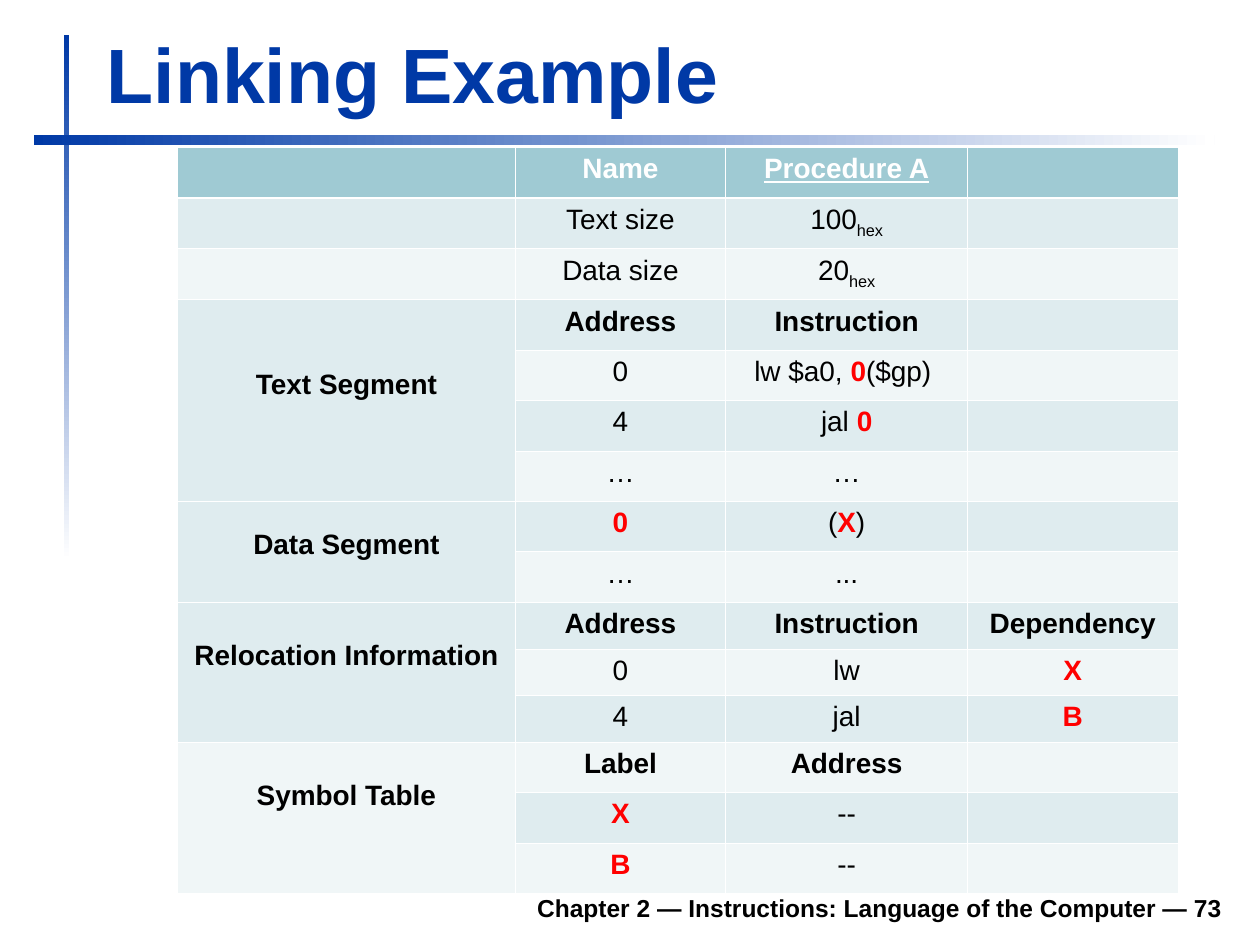
from dataclasses import dataclass

from lxml import etree
from pptx import Presentation
from pptx.dml.color import RGBColor
from pptx.enum.shapes import MSO_SHAPE
from pptx.enum.text import MSO_ANCHOR, PP_ALIGN
from pptx.oxml.ns import qn
from pptx.util import Inches, Pt


@dataclass(frozen=True)
class Theme:
    font: str = "Arial"
    blue: str = "0039A6"
    white: str = "FFFFFF"
    black: str = "000000"
    red: str = "FF0000"
    header: str = "9FCAD3"
    bands: tuple = ("F0F6F7", "DFECEF")
    title_size: int = 44
    table_size: int = 16
    footer_size: int = 14
    thin_border: float = 0.45
    thick_border: float = 1.47


THEME = Theme()

# Run formats used in the table
BODY = {"size": THEME.table_size, "color": THEME.black, "bold": False}
BOLD = BODY | {"bold": True}
RED = BOLD | {"color": THEME.red}
HEAD = BOLD | {"color": THEME.white}
UNDERLINED = HEAD | {"underline": True}
SUBSCRIPT = BODY | {"baseline": -25}

# Each cell is a list of (text, format) runs
EMPTY = []
DOTS = [("…", BODY)]
ADDRESS = [("Address", BOLD)]
INSTRUCTION = [("Instruction", BOLD)]

# Columns two to four; the first column holds the segment names
ROWS = [
    [[("Name", HEAD)], [("Procedure A", UNDERLINED)], EMPTY],
    [[("Text size", BODY)], [("100", BODY), ("hex", SUBSCRIPT)], EMPTY],
    [[("Data size", BODY)], [("20", BODY), ("hex", SUBSCRIPT)], EMPTY],
    [ADDRESS, INSTRUCTION, EMPTY],
    [[("0", BODY)], [("lw $a0, ", BODY), ("0", RED), ("($gp) ", BODY)], EMPTY],
    [[("4", BODY)], [("jal ", BODY), ("0", RED)], EMPTY],
    [DOTS, DOTS, EMPTY],
    [[("0", RED)], [("(", BODY), ("X", RED), (")", BODY)], EMPTY],
    [DOTS, [("...", BODY)], EMPTY],
    [ADDRESS, INSTRUCTION, [("Dependency", BOLD)]],
    [[("0", BODY)], [("lw", BODY)], [("X", RED)]],
    [[("4", BODY)], [("jal", BODY)], [("B", RED)]],
    [[("Label", BOLD)], ADDRESS, EMPTY],
    [[("X", RED)], [("--", BODY)], EMPTY],
    [[("B", RED)], [("--", BODY)], EMPTY],
]

# Segment name, first row, last row, top margin
SEGMENTS = [
    ("Text Segment", 3, 6, 0.55),
    ("Data Segment", 7, 8, 0.22),
    ("Relocation Information", 9, 11, 0.3),
    ("Symbol Table", 12, 14, 0.3),
]

COLUMN_WIDTHS = [2.68, 1.67, 1.92, 1.67]
ROW_HEIGHTS = [0.4] * 9 + [0.37] * 3 + [0.4] * 3


class SlideBuilder:
    def __init__(self, slide, theme):
        self.slide = slide
        self.theme = theme

    def add_runs(self, paragraph, runs):
        for text, style in runs:
            run = paragraph.add_run()
            run.text = text
            values = {"name": self.theme.font} | style
            values["size"] = Pt(values["size"])
            run.font.color.rgb = RGBColor.from_string(values.pop("color"))
            baseline = values.pop("baseline", None)
            for name, value in values.items():
                setattr(run.font, name, value)
            if baseline:
                run.font._element.set("baseline", str(baseline * 1000))

    def add_gradient_bar(self, left, top, width, height, angle):
        bar = self.slide.shapes.add_shape(
            MSO_SHAPE.RECTANGLE, Inches(left), Inches(top), Inches(width), Inches(height))
        bar.shadow.inherit = False
        bar.line.fill.background()
        bar.fill.gradient()
        bar.fill.gradient_angle = angle
        colors = (self.theme.blue, self.theme.white)
        for position, (stop, color) in enumerate(zip(bar.fill.gradient_stops, colors)):
            stop.position = position
            stop.color.rgb = RGBColor.from_string(color)

    def add_text(self, left, top, width, height, text, style, alignment):
        box = self.slide.shapes.add_textbox(
            Inches(left), Inches(top), Inches(width), Inches(height))
        frame = box.text_frame
        frame.word_wrap = True
        frame.vertical_anchor = MSO_ANCHOR.BOTTOM
        frame.paragraphs[0].alignment = alignment
        self.add_runs(frame.paragraphs[0], [(text, style)])

    def add_borders(self, cell, widths):
        properties = cell._tc.get_or_add_tcPr()
        for index, (side, width) in enumerate(widths.items()):
            line = etree.Element(qn(f"a:ln{side}"), w=str(Pt(width)))
            fill = etree.SubElement(line, qn("a:solidFill"))
            etree.SubElement(fill, qn("a:srgbClr"), val=self.theme.white)
            properties.insert(index, line)

    def format_cell(self, cell, row_index):
        theme = self.theme
        color = theme.header if row_index == 0 else theme.bands[row_index % 2]
        cell.fill.solid()
        cell.fill.fore_color.rgb = RGBColor.from_string(color)
        widths = dict.fromkeys("LRTB", theme.thin_border)
        if row_index < 2:
            widths["B" if row_index == 0 else "T"] = theme.thick_border
        self.add_borders(cell, widths)

    def fill_cell(self, cell, runs):
        paragraph = cell.text_frame.paragraphs[0]
        paragraph.alignment = PP_ALIGN.CENTER
        self.add_runs(paragraph, runs)

    def add_table(self, left, top, widths, heights, rows, segments):
        table = self.slide.shapes.add_table(
            len(heights), len(widths), Inches(left), Inches(top),
            Inches(sum(widths)), Inches(sum(heights))).table
        table.horz_banding = False
        for column, width in zip(table.columns, widths):
            column.width = Inches(width)
        for row_index, (row, height) in enumerate(zip(table.rows, heights)):
            row.height = Inches(height)
            for cell, runs in zip(row.cells, [EMPTY] + rows[row_index]):
                self.format_cell(cell, row_index)
                self.fill_cell(cell, runs)
        for name, first, last, margin in segments:
            cell = table.cell(first, 0)
            cell.merge(table.cell(last, 0))
            cell.margin_top = Inches(margin)
            self.fill_cell(cell, [(name, BOLD)])


def main():
    presentation = Presentation()
    presentation.slide_width = Inches(10)
    presentation.slide_height = Inches(7.5)
    slide = presentation.slides.add_slide(presentation.slide_layouts[6])
    builder = SlideBuilder(slide, THEME)

    # Crossed bars
    builder.add_gradient_bar(0.51, 0.28, 0.04, 4.17, angle=270)
    builder.add_gradient_bar(0.27, 1.07, 9.37, 0.08, angle=0)

    # Footer and title
    builder.add_text(
        1.85, 6.98, 7.95, 0.39, "Chapter 2 — Instructions: Language of the Computer — 73",
        BOLD | {"size": THEME.footer_size}, PP_ALIGN.RIGHT)
    builder.add_text(
        0.75, 0.16, 9.03, 0.83, "Linking Example",
        {"size": THEME.title_size, "color": THEME.blue, "bold": True}, PP_ALIGN.LEFT)

    # Object file table
    builder.add_table(1.41, 1.17, COLUMN_WIDTHS, ROW_HEIGHTS, ROWS, SEGMENTS)

    presentation.save("out.pptx")


if __name__ == "__main__":
    main()
